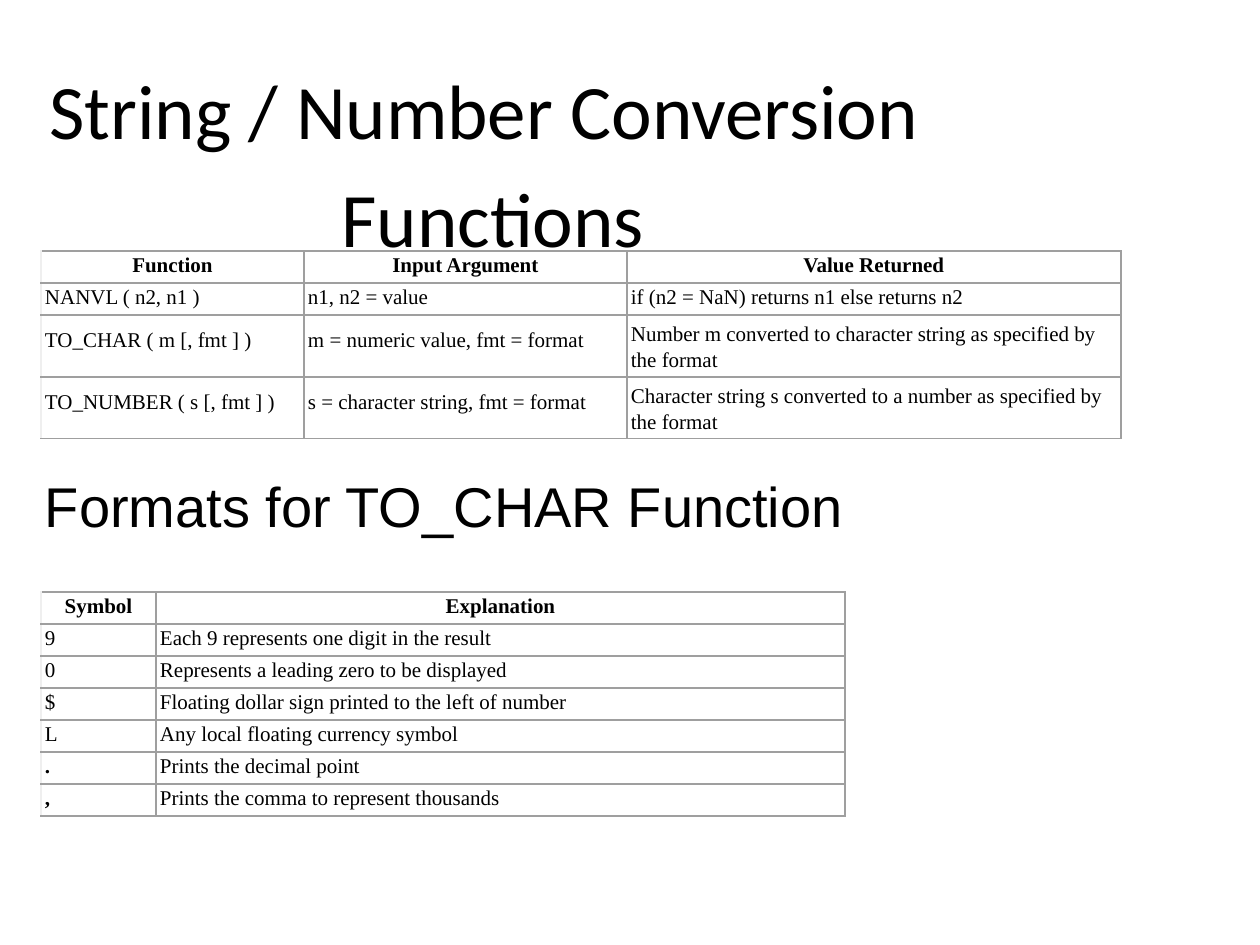
from dataclasses import dataclass

from lxml.etree import SubElement
from pptx import Presentation
from pptx.dml.color import RGBColor
from pptx.enum.text import MSO_ANCHOR, MSO_AUTO_SIZE, PP_ALIGN
from pptx.oxml.ns import qn
from pptx.util import Pt

EMU_PER_PX = 914400 / 126


def px(n):
    return round(n * EMU_PER_PX)


@dataclass(frozen=True)
class Theme:
    ink: str = "000000"
    rule: str = "9F9F9F"
    faint_rule: str = "EFEFEF"
    rule_pt: float = 0.75
    title_font: str = "Calibri"
    heading_font: str = "Arial"
    table_font: str = "Times New Roman"
    title_pt: int = 44
    heading_pt: int = 32
    table_pt: int = 12


class SlideBuilder:
    def __init__(self, slide, theme):
        self.s = slide
        self.t = theme

    def style(self, p, font, size, bold=False, align=PP_ALIGN.LEFT, spacing=1.0):
        p.font.name, p.font.size, p.font.bold = font, Pt(size), bold
        p.font.color.rgb = RGBColor.from_string(self.t.ink)
        p.alignment, p.line_spacing = align, spacing

    def frame(self, sp, text, top, anchor):
        """Fill a shape's text frame and return its paragraph."""
        tf = sp.text_frame
        tf.word_wrap, tf.auto_size = True, MSO_AUTO_SIZE.NONE
        tf.vertical_anchor = anchor
        tf.margin_left = tf.margin_right = tf.margin_bottom = 0
        tf.margin_top = px(top)
        tf.text = text
        return tf.paragraphs[0]

    def title(self, text, x, y, w, h):
        sp = self.s.shapes.title
        sp.left, sp.top, sp.width, sp.height = map(px, (x, y, w, h))
        p = self.frame(sp, text, 6, MSO_ANCHOR.MIDDLE)
        self.style(p, self.t.title_font, self.t.title_pt,
                   align=PP_ALIGN.CENTER, spacing=1.17)

    def heading(self, text, x, y, w, h):
        sp = self.s.shapes.add_textbox(*map(px, (x, y, w, h)))
        p = self.frame(sp, text, 1, MSO_ANCHOR.TOP)
        self.style(p, self.t.heading_font, self.t.heading_pt)

    def table(self, x, y, widths, heights, rows, bold=()):
        """Draw a ruled table; its header and the texts in bold are bold."""
        size = map(px, (x, y, sum(widths), sum(heights)))
        tbl = self.s.shapes.add_table(len(rows), len(widths), *size).table
        tbl.first_row = tbl.horz_banding = False
        for col, w in zip(tbl.columns, widths):
            col.width = px(w)
        for i, (row, h) in enumerate(zip(rows, heights)):
            tbl.rows[i].height = px(h)
            tall = h > min(heights)
            for j, text in enumerate(row):
                wrapped = tall and j == len(row) - 1
                top = 4 if wrapped else 14 if tall else 3
                self.cell(tbl.cell(i, j), text, top, header=i == 0,
                          bold=i == 0 or text in bold, first=j == 0,
                          spacing=1.15 if wrapped else 1.0)

    def cell(self, cell, text, top, header, bold, first, spacing):
        cell.margin_left = 0 if header else px(4)
        cell.margin_right = cell.margin_bottom = 0
        cell.margin_top = px(top)
        cell.text = text
        self.style(cell.text_frame.paragraphs[0], self.t.table_font,
                   self.t.table_pt, bold,
                   PP_ALIGN.CENTER if header else PP_ALIGN.LEFT, spacing)
        self.borders(cell, self.t.faint_rule if first else self.t.rule)
        cell.fill.background()

    def borders(self, cell, left):
        tc_pr = cell._tc.get_or_add_tcPr()
        for side in "LRTB":
            ln = SubElement(tc_pr, qn(f"a:ln{side}"), w=str(Pt(self.t.rule_pt)))
            fill = SubElement(ln, qn("a:solidFill"))
            SubElement(fill, qn("a:srgbClr"), val=left if side == "L" else self.t.rule)


FUNCTIONS = [
    ("Function", "Input Argument", "Value Returned"),
    ("NANVL ( n2, n1 )", "n1, n2 = value",
     "if (n2 = NaN) returns n1 else returns n2"),
    ("TO_CHAR ( m [, fmt ] )", "m = numeric value, fmt = format",
     "Number m converted to character string as specified by  the format"),
    ("TO_NUMBER ( s [, fmt ] )", "s = character string, fmt = format",
     "Character string s converted to a number as specified by  the format"),
]

SYMBOLS = [
    ("Symbol", "Explanation"),
    ("9", "Each 9 represents one digit in the result"),
    ("0", "Represents a leading zero to be displayed"),
    ("$", "Floating dollar sign printed to the left of number"),
    ("L", "Any local floating currency symbol"),
    (".", "Prints the decimal point"),
    (",", "Prints the comma to represent thousands"),
]


def main():
    prs = Presentation()
    prs.slide_width, prs.slide_height = px(1260), px(945)
    title_only = prs.slide_layouts[5]
    b = SlideBuilder(prs.slides.add_slide(title_only), Theme())

    b.title("String / Number Conversion  Functions", 44, 39, 898, 226)
    b.table(41, 251, [263, 323, 494], [32, 32, 62, 62], FUNCTIONS)
    b.heading("Formats for TO_CHAR Function", 45, 470, 1077, 69)
    b.table(41, 592, [115, 689], [32] * len(SYMBOLS), SYMBOLS, bold=(".", ","))

    prs.save("out.pptx")


if __name__ == "__main__":
    main()
